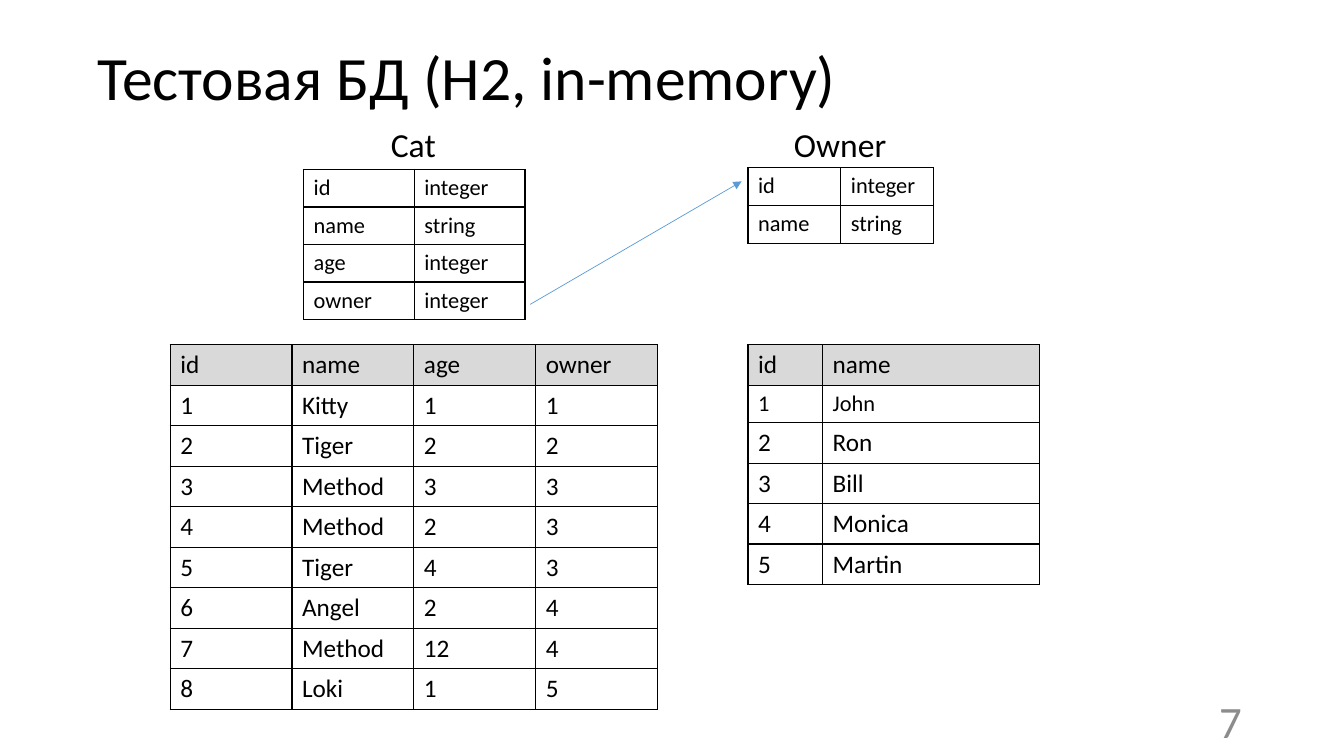
from lxml.etree import SubElement
from pptx import Presentation
from pptx.dml.color import RGBColor
from pptx.enum.shapes import MSO_CONNECTOR
from pptx.enum.text import MSO_ANCHOR, MSO_AUTO_SIZE, PP_ALIGN
from pptx.oxml import parse_xml
from pptx.oxml.ns import nsdecls, qn
from pptx.util import Cm, Pt

BLACK = RGBColor(0x00, 0x00, 0x00)
GRAY = RGBColor(0x8C, 0x8C, 0x8C)
HEADER_FILL = RGBColor(0xD9, 0xD9, 0xD9)
ARROW_BLUE = RGBColor(0x5B, 0x9B, 0xD5)

CAT_FIELDS = [("id", "integer"), ("name", "string"), ("age", "integer"), ("owner", "integer")]
OWNER_FIELDS = [("id", "integer"), ("name", "string")]
CATS = [
    ("id", "name", "age", "owner"),
    ("1", "Kitty", "1", "1"),
    ("2", "Tiger", "2", "2"),
    ("3", "Method", "3", "3"),
    ("4", "Method", "2", "3"),
    ("5", "Tiger", "4", "3"),
    ("6", "Angel", "2", "4"),
    ("7", "Method", "12", "4"),
    ("8", "Loki", "1", "5"),
]
OWNERS = [("id", "name"), ("1", "John"), ("2", "Ron"), ("3", "Bill"), ("4", "Monica"), ("5", "Martin")]


def write_text(frame, text, size, color=BLACK, font="Calibri", align=PP_ALIGN.LEFT, spacing=None):
    paragraph = frame.paragraphs[0]
    paragraph.alignment = align
    paragraph.line_spacing = spacing
    run = paragraph.add_run()
    run.text = text
    run.font.size = Pt(size)
    run.font.name = font
    run.font.color.rgb = color


def add_borders(cell, width=Pt(1), color=BLACK):
    properties = cell._tc.get_or_add_tcPr()
    for index, side in enumerate(("lnL", "lnR", "lnT", "lnB")):
        properties.insert(index, parse_xml(
            f'<a:{side} {nsdecls("a")} w="{width}"><a:solidFill>'
            f'<a:srgbClr val="{color}"/></a:solidFill></a:{side}>'))


class SlideBuilder:
    """Holds the current slide and draws its elements; lengths are in centimetres."""

    def __init__(self, presentation):
        self.slide = presentation.slides.add_slide(presentation.slide_layouts[5])

    def title(self, text, left, top, width, height):
        shape = self.slide.shapes.title
        shape.left, shape.top, shape.width, shape.height = map(Cm, (left, top, width, height))
        frame = shape.text_frame
        frame.vertical_anchor = MSO_ANCHOR.MIDDLE
        write_text(frame, text, 44, spacing=0.9)

    def label(self, text, left, top, width, height, size=24, wrap=False,
              anchor=MSO_ANCHOR.TOP, **text_format):
        shape = self.slide.shapes.add_textbox(*map(Cm, (left, top, width, height)))
        frame = shape.text_frame
        frame.word_wrap = wrap
        frame.auto_size = MSO_AUTO_SIZE.NONE if wrap else MSO_AUTO_SIZE.SHAPE_TO_FIT_TEXT
        frame.vertical_anchor = anchor
        write_text(frame, text, size, **text_format)

    def table(self, rows, left, top, column_widths, row_height, size=18, header=True, small_row=None):
        """Draws a bordered grid; small_row is the index of a row set in 16 points."""
        row_heights = [0.94 if index == small_row else row_height for index in range(len(rows))]
        frame = self.slide.shapes.add_table(
            len(rows), len(column_widths), Cm(left), Cm(top),
            Cm(sum(column_widths)), Cm(sum(row_heights)))
        table = frame.table
        table.first_row = header
        table.horz_banding = False
        for column, width in zip(table.columns, column_widths):
            column.width = Cm(width)
        for row_index, values in enumerate(rows):
            table.rows[row_index].height = Cm(row_heights[row_index])
            for column_index, value in enumerate(values):
                cell = table.cell(row_index, column_index)
                if header and row_index == 0:
                    cell.fill.solid()
                    cell.fill.fore_color.rgb = HEADER_FILL
                else:
                    cell.fill.background()
                add_borders(cell)
                write_text(cell.text_frame, value, 16 if row_index == small_row else size)
                cell.text_frame.paragraphs[0].runs[0].font.bold = False

    def arrow(self, start_x, start_y, end_x, end_y):
        connector = self.slide.shapes.add_connector(
            MSO_CONNECTOR.STRAIGHT, *map(Cm, (start_x, start_y, end_x, end_y)))
        connector.line.color.rgb = ARROW_BLUE
        connector.line.width = Pt(0.5)
        SubElement(connector.line._get_or_add_ln(), qn("a:tailEnd"), type="triangle")
        SubElement(connector._element.spPr, qn("a:effectLst"))


def main():
    presentation = Presentation()
    presentation.slide_width = Cm(33.87)
    presentation.slide_height = Cm(19.05)

    builder = SlideBuilder(presentation)
    builder.title("Тестовая БД (H2, in-memory)", 2.21, 0.2, 29.21, 3.68)

    builder.table(OWNER_FIELDS, 18.85, 4.22, [2.34] * 2, 0.96, size=16, header=False)
    builder.table(CAT_FIELDS, 7.65, 4.27, [2.79] * 2, 0.94, size=16, header=False)
    builder.label("Cat", 9.6, 3, 1.65, 1.27)
    builder.label("Owner", 19.76, 3, 2.87, 1.27)
    builder.arrow(13.36, 7.67, 18.69, 4.57)

    builder.table(CATS, 4.29, 8.69, [3.07] * 4, 1.02)
    builder.table(OWNERS, 18.85, 8.69, [1.88, 5.46], 1.02, small_row=1)

    builder.label("7", 23.93, 17.65, 7.62, 1.02, size=32, wrap=True,
                  anchor=MSO_ANCHOR.MIDDLE, color=GRAY, align=PP_ALIGN.RIGHT)
    presentation.save("out.pptx")


if __name__ == "__main__":
    main()
